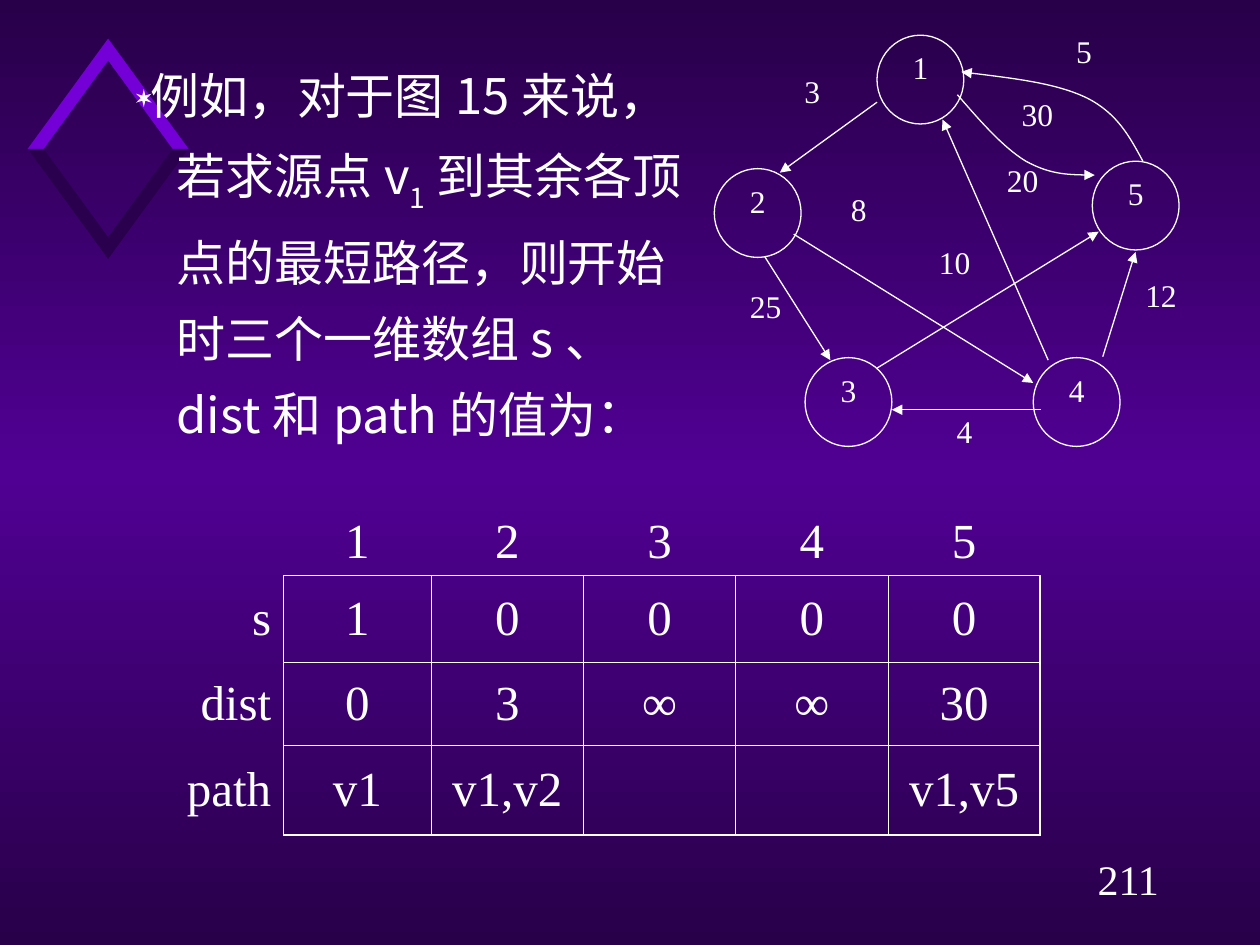
import copy
import math
from lxml import etree
from pptx import Presentation
from pptx.dml.color import RGBColor
from pptx.enum import shapes, text
from pptx.oxml.ns import qn
from pptx.util import Cm, Pt

WHITE = RGBColor(0xFF, 0xFF, 0xFF)
STAR = RGBColor(0xF9, 0xF9, 0xF9)
BRIGHT = RGBColor(0x75, 0x00, 0xD7)
SHADE = RGBColor(0x2A, 0x00, 0x4E)
EDGE = RGBColor(0x28, 0x00, 0x49)
MIDDLE = RGBColor(0x50, 0x00, 0x93)
SERIF = "Times New Roman"
SANS = "Noto Sans CJK SC"

presentation = Presentation()
presentation.slide_width = Cm(25.4)
presentation.slide_height = Cm(19.05)
slide = presentation.slides.add_slide(presentation.slide_layouts[6])

background = slide.background.fill
background.gradient()
background.gradient_angle = 90
first_stop, middle_stop = background.gradient_stops
first_stop.color.rgb, first_stop.position = EDGE, 0
middle_stop.color.rgb, middle_stop.position = MIDDLE, 0.5
stop_list = slide.element.find(".//" + qn("a:gsLst"))
last_stop = copy.deepcopy(stop_list[0])
last_stop.set("pos", "100000")
stop_list.append(last_stop)


def write_text(frame, content, size, alignment=text.PP_ALIGN.CENTER):
    frame.text = content
    paragraph = frame.paragraphs[0]
    paragraph.alignment = alignment
    for run in paragraph.runs:
        run.font.size = Pt(size)
        run.font.name = SERIF
        run.font.color.rgb = WHITE


def add_outline(points, closed=True):
    corners = [(Cm(x), Cm(y)) for x, y in points]
    builder = slide.shapes.build_freeform(*corners[0])
    builder.add_line_segments(corners[1:], close=closed)
    shape = builder.convert_to_shape()
    shape.shadow.inherit = False
    return shape


for vertical, color in ((-1, BRIGHT), (1, SHADE)):
    for side in (1, -1):
        corners = [(0, 1.78), (0, 2.22), (1.62, 0), (1.3, 0)]
        band = add_outline([(2.18 + side * x, 3 + vertical * y) for x, y in corners])
        band.fill.solid()
        band.fill.fore_color.rgb = color
        band.line.fill.background()

star_points = []
for step in range(12):
    radius = 0.06 if step % 2 else 0.18
    angle = math.radians(30 * step - 90)
    star_points.append((2.9 + radius * math.cos(angle), 1.98 + radius * math.sin(angle)))
star = add_outline(star_points)
star.fill.solid()
star.fill.fore_color.rgb = STAR
star.line.fill.background()

page_number = slide.shapes.add_textbox(Cm(21.79), Cm(17.09), Cm(1.91), Cm(1.27))
page_number.text_frame.word_wrap = True
write_text(page_number.text_frame, "211", 24)

body = slide.shapes.add_textbox(Cm(2.34), Cm(0.84), Cm(11.7), Cm(8.69))
body.text_frame.word_wrap = True
paragraph = body.text_frame.paragraphs[0]
paragraph.line_spacing = 1.3
properties = paragraph._p.get_or_add_pPr()
properties.set("marL", str(Cm(0.97)))
properties.set("indent", str(Cm(-0.53)))
for content, baseline in (
    ("例如，对于图15来说，若求源点v", 0),
    ("1", -30000),
    ("到其余各顶点的最短路径，则开始时三个一维数组s、dist和path的值为：", 0),
):
    run = paragraph.add_run()
    run.text = content
    run.font.size = Pt(28)
    run.font.name = SANS
    run.font.color.rgb = WHITE
    run_properties = run._r.get_or_add_rPr()
    run_properties.set("baseline", str(baseline))
    etree.SubElement(run_properties, qn("a:ea")).set("typeface", SANS)

graph_texts = []
weights = [
    ("12", 22.45, 5.56), ("20", 19.66, 3.25), ("10", 18.29, 4.9),
    ("8", 16.36, 3.84), ("3", 15.42, 1.45), ("30", 19.96, 1.91),
    ("5", 20.9, 0.64), ("25", 14.48, 5.79), ("4", 18.49, 8.31),
]
for weight, left, top in weights:
    shape = slide.shapes.add_textbox(Cm(left), Cm(top), Cm(1.91), Cm(1.42))
    graph_texts.append((shape, weight))

vertices = [
    ("1", 17.68, 0.71), ("2", 14.4, 3.4), ("3", 16.23, 7.21),
    ("4", 20.83, 7.21), ("5", 22.02, 3.25),
]
for vertex, left, top in vertices:
    shape = slide.shapes.add_shape(
        shapes.MSO_SHAPE.OVAL, Cm(left), Cm(top), Cm(1.75), Cm(1.79))
    shape.shadow.inherit = False
    shape.fill.background()
    shape.line.color.rgb = WHITE
    shape.line.width = Pt(0.75)
    graph_texts.append((shape, vertex))

for shape, content in graph_texts:
    frame = shape.text_frame
    frame.word_wrap = True
    frame.vertical_anchor = text.MSO_ANCHOR.TOP
    frame.margin_left = frame.margin_right = frame.margin_top = frame.margin_bottom = 0
    write_text(frame, content, 18)

edges = []
straight_edges = [
    (17.68, 2.06, 15.72, 3.48), (21.13, 7.26, 19, 2.41),
    (20.98, 8.26, 17.98, 8.26), (15.42, 5.18, 16.74, 7.26),
    (16, 4.72, 20.83, 7.72), (22.23, 7.19, 22.89, 5.08),
    (17.68, 7.42, 22.15, 4.67),
]
for ends in straight_edges:
    edge = slide.shapes.add_connector(
        shapes.MSO_CONNECTOR.STRAIGHT, *[Cm(value) for value in ends])
    etree.SubElement(edge._element.spPr, qn("a:effectLst"))
    edges.append(edge)

curved_edges = [
    [(23.04, 3.25), (22.78, 2.77), (22.53, 2.29), (21.92, 1.98),
     (21.31, 1.68), (20.35, 1.57), (19.38, 1.45)],
    [(19.3, 1.91), (19.76, 2.44), (20.22, 2.97), (20.68, 3.25),
     (21.16, 3.51), (21.62, 3.53), (22.07, 3.53)],
]
for points in curved_edges:
    edge = add_outline(points, closed=False)
    edge.fill.background()
    outline = edge._element.find(".//" + qn("a:path"))
    segments = outline.findall(qn("a:lnTo"))
    for start in range(0, len(segments), 3):
        curve = etree.SubElement(outline, qn("a:cubicBezTo"))
        for segment in segments[start:start + 3]:
            curve.append(segment[0])
            outline.remove(segment)
    edges.append(edge)

for edge in edges:
    edge.line.color.rgb = WHITE
    edge.line.width = Pt(0.75)
    etree.SubElement(edge.line._get_or_add_ln(), qn("a:tailEnd")).set("type", "triangle")

rows = [
    ["", "1", "2", "3", "4", "5"],
    ["s", "1", "0", "0", "0", "0"],
    ["dist", "0", "3", "∞", "∞", "30"],
    ["path", "v1", "v1,v2", "", "", "v1,v5"],
]
widths = [3.18, 2.97] + [3.07] * 4
heights = [1.8, 1.75, 1.68, 1.8]
table = slide.shapes.add_table(
    4, 6, Cm(2.54), Cm(9.8), Cm(sum(widths)), Cm(sum(heights))).table
table.first_row = table.horz_banding = False
for column, width in zip(table.columns, widths):
    column.width = Cm(width)
for row, height in zip(table.rows, heights):
    row.height = Cm(height)

for r, values in enumerate(rows):
    for c, value in enumerate(values):
        cell = table.cell(r, c)
        cell.vertical_anchor = text.MSO_ANCHOR.MIDDLE if r else text.MSO_ANCHOR.BOTTOM
        write_text(cell.text_frame, value, 28,
                   text.PP_ALIGN.CENTER if c else text.PP_ALIGN.RIGHT)
        inside = r > 0 and c > 0
        borders = {"L": inside, "R": r > 0, "T": inside, "B": c > 0}
        for side, visible in borders.items():
            outer = (side == "R" and c == 5) or (side == "B" and r == 3)
            border = etree.SubElement(cell._tc.get_or_add_tcPr(), qn("a:ln" + side))
            border.set("w", str(Pt(1.08 if outer else 0.45)))
            if visible:
                fill = etree.SubElement(border, qn("a:solidFill"))
                etree.SubElement(fill, qn("a:srgbClr")).set("val", str(WHITE))
            else:
                etree.SubElement(border, qn("a:noFill"))
        cell.fill.background()

presentation.save("out.pptx")
